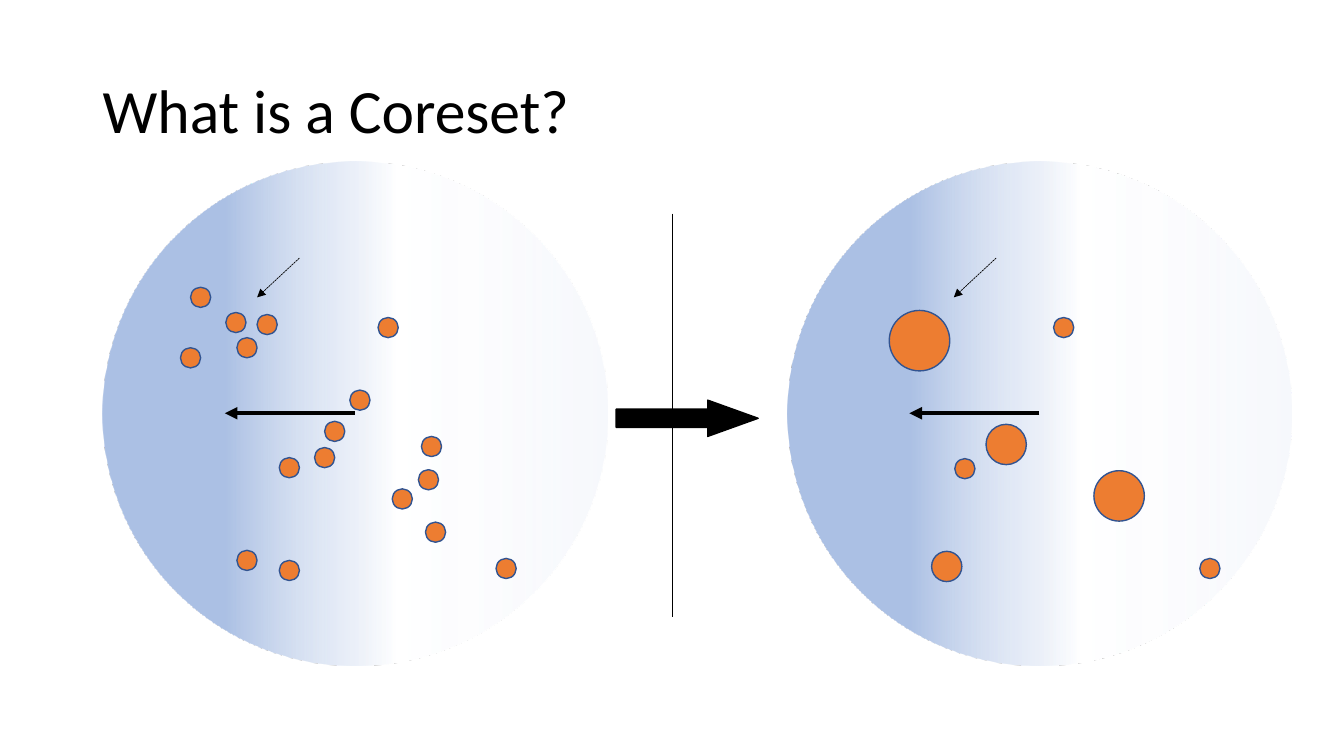
from pptx import Presentation
from pptx.dml.color import RGBColor
from pptx.enum.dml import MSO_LINE_DASH_STYLE as Dash
from pptx.enum.shapes import MSO_CONNECTOR as Connector, MSO_SHAPE as Shape
from pptx.enum.text import MSO_ANCHOR as Anchor
from pptx.oxml import parse_xml
from pptx.oxml.ns import nsdecls
from pptx.util import Inches, Pt

BLACK = RGBColor(0x00, 0x00, 0x00)
ORANGE = RGBColor(0xED, 0x7D, 0x31)
BLUE_OUTLINE = RGBColor(0x32, 0x54, 0x91)
PALE_BLUE = RGBColor(0xF6, 0xF8, 0xFC)
WHITE = RGBColor(0xFF, 0xFF, 0xFF)
LIGHT_BLUE = RGBColor(0xC7, 0xD5, 0xED)
MID_BLUE = RGBColor(0xAB, 0xC0, 0xE4)

# Position, colour and opacity, all in percent
GRADIENT_STOPS = [(0, PALE_BLUE, 100), (42, WHITE, 71),
                  (57, LIGHT_BLUE, 56), (76, MID_BLUE, 100)]

DISC_SIZE = 5
DISC_TOP = 1.6
POINT_SIZE = 0.2
TITLE_FORMAT = {"name": "Calibri", "size": Pt(44)}
FRAME_FORMAT = {"word_wrap": True, "vertical_anchor": Anchor.MIDDLE}

# Left and top of each original point
DATA_POINTS = [
    (1.89, 2.85), (1.79, 3.45), (2.24, 3.1), (2.35, 3.35), (2.55, 3.12),
    (3.75, 3.15), (3.47, 3.87), (2.77, 4.54), (3.22, 4.18), (3.12, 4.44),
    (4.18, 4.33), (4.15, 4.66), (3.89, 4.85), (2.35, 5.46), (4.22, 5.18),
    (2.77, 5.56), (4.92, 5.54),
]
# Left, top and diameter of each weighted point
CORESET_POINTS = [
    (8.82, 3.08, 0.6), (10.45, 3.15, 0.2), (9.47, 4.55, 0.2),
    (9.78, 4.21, 0.4), (10.85, 4.67, 0.5), (9.24, 5.47, 0.3),
    (11.9, 5.54, 0.2),
]


def set_values(target, values):
    for name, value in values.items():
        setattr(target, name, value)


def add_title(slide, text):
    box = slide.shapes.add_textbox(Inches(0.92), Inches(0.4), Inches(11.5), Inches(1.45))
    set_values(box.text_frame, FRAME_FORMAT)
    paragraph = box.text_frame.paragraphs[0]
    paragraph.text = text
    paragraph.line_spacing = 0.9
    set_values(paragraph.font, TITLE_FORMAT)
    paragraph.font.color.rgb = BLACK


def add_preset(slide, preset, left, top, width, height):
    shape = slide.shapes.add_shape(
        preset, Inches(left), Inches(top), Inches(width), Inches(height))
    shape.shadow.inherit = False
    return shape


def paint(shape, fill_color, line_color):
    shape.fill.solid()
    shape.fill.fore_color.rgb = fill_color
    shape.line.color.rgb = line_color
    shape.line.width = Pt(1)


def add_point(slide, left, top, size=POINT_SIZE):
    paint(add_preset(slide, Shape.OVAL, left, top, size, size), ORANGE, BLUE_OUTLINE)


def add_line(slide, start, end, width, dash=None, arrow=False):
    line = slide.shapes.add_connector(
        Connector.STRAIGHT, *(Inches(value) for value in (*start, *end)))
    set_values(line.line, {"width": Pt(width), "dash_style": dash})
    line.line.color.rgb = BLACK
    if arrow:
        line.line._get_or_add_ln().append(
            parse_xml(f'<a:tailEnd {nsdecls("a")} type="triangle"/>'))
    line._element.spPr.append(parse_xml(f'<a:effectLst {nsdecls("a")}/>'))


def add_disc(slide, left):
    """Add a gradient disc with an arrow from its centre to the left."""
    disc = add_preset(slide, Shape.OVAL, left, DISC_TOP, DISC_SIZE, DISC_SIZE)
    disc.rotation = 180
    stops = "".join(
        f'<a:gs pos="{position * 1000}"><a:srgbClr val="{color}">'
        f'<a:alpha val="{opacity * 1000}"/></a:srgbClr></a:gs>'
        for position, color, opacity in GRADIENT_STOPS)
    gradient = parse_xml(
        f'<a:gradFill {nsdecls("a")} rotWithShape="1"><a:gsLst>{stops}</a:gsLst>'
        '<a:lin ang="0" scaled="0"/></a:gradFill>')
    disc._element.spPr.prstGeom.addnext(gradient)
    disc.line.fill.background()
    center_x, center_y = left + DISC_SIZE / 2, DISC_TOP + DISC_SIZE / 2
    add_line(slide, (center_x, center_y), (center_x - 1.29, center_y), 3, arrow=True)


def add_block_arrow(slide):
    arrow = add_preset(slide, Shape.RIGHT_ARROW, 6.11, 3.97, 1.41, 0.36)
    arrow.adjustments[1] = 1.39
    paint(arrow, BLACK, BLACK)


def main():
    presentation = Presentation()
    presentation.slide_width = Inches(13.33)
    presentation.slide_height = Inches(7.5)
    slide = presentation.slides.add_slide(presentation.slide_layouts[6])

    for left in (7.81, 1.02):
        add_disc(slide, left)
    add_title(slide, "What is a Coreset?")
    for point in DATA_POINTS:
        add_point(slide, *point)
    add_line(slide, (6.67, 2.12), (6.67, 6.12), 0.5)
    for point in CORESET_POINTS:
        add_point(slide, *point)
    add_block_arrow(slide)
    for left in (2.55, 9.46):
        add_line(slide, (left + 0.42, 2.56), (left, 2.95), 0.5,
                 dash=Dash.SQUARE_DOT, arrow=True)

    presentation.save("out.pptx")


if __name__ == "__main__":
    main()
